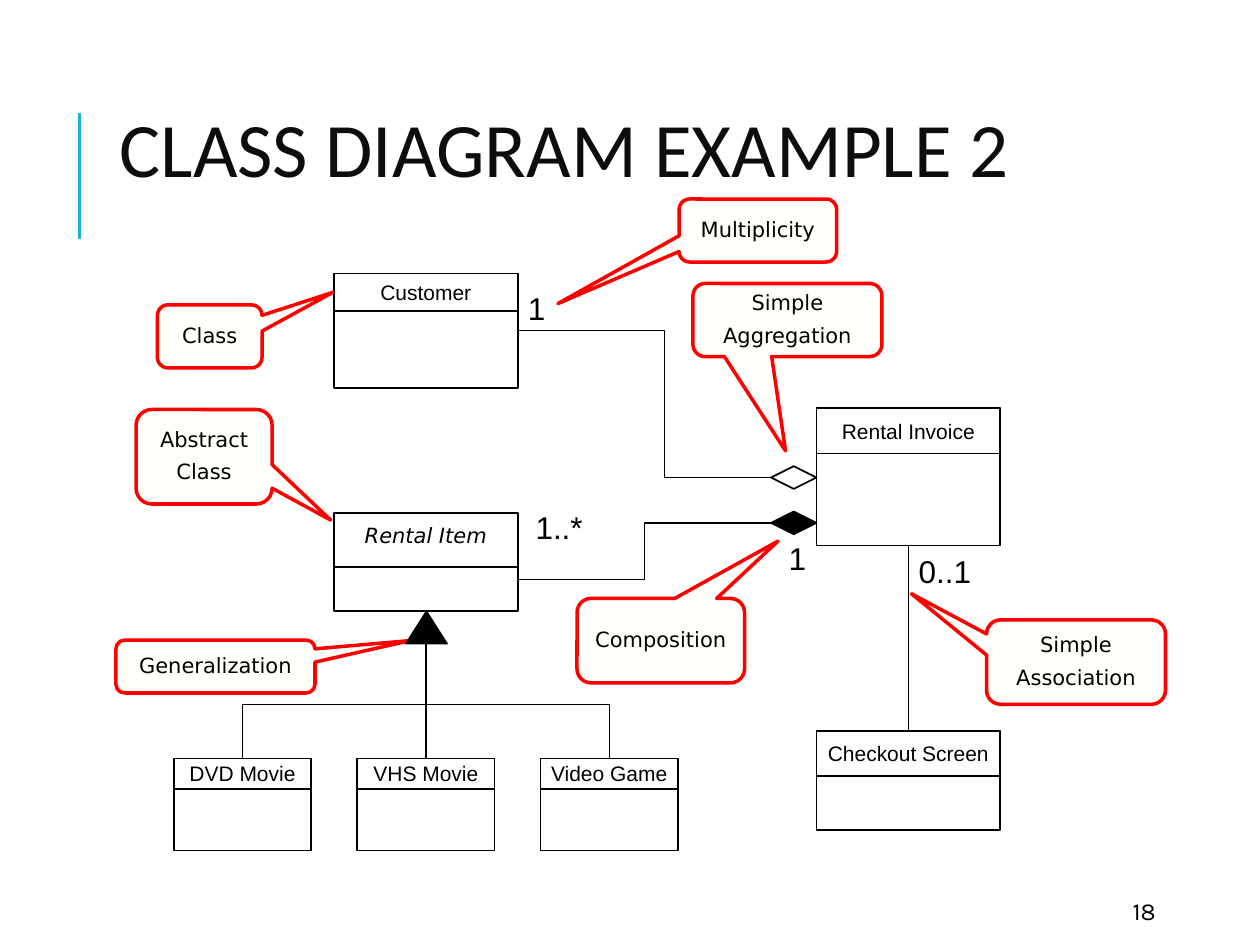
from lxml import etree
from pptx import Presentation
from pptx import util as u
from pptx.dml.color import RGBColor
from pptx.enum import shapes, text
from pptx.oxml.ns import qn

COLORS = {"ink": "000000", "title": "0D0D0D", "accent": "1CADE4",
          "paper": "FFFFFF", "note": "FFFFFB", "alert": "FF0000"}
RGB = {name: RGBColor.from_string(value) for name, value in COLORS.items()}

presentation = Presentation()
presentation.slide_width, presentation.slide_height = u.Inches(10), u.Inches(7.5)
slide = presentation.slides.add_slide(presentation.slide_layouts[5])

# The slide is a grid of 100 columns by 75 rows
COLUMN = presentation.slide_width // 100
ROW = presentation.slide_height // 75


def grid(left, top, width, height):
    return [u.Emu(round(cells * unit)) for cells, unit in
            zip((left, top, width, height), (COLUMN, ROW, COLUMN, ROW))]


def write(shape, words, size, font, color="ink", align=text.PP_ALIGN.CENTER,
          margins=(0.1, 0.05), spacing=None, before=None, wrap=False,
          anchor=text.MSO_ANCHOR.MIDDLE):
    frame = shape.text_frame
    frame.text = words
    frame.word_wrap = wrap
    frame.vertical_anchor = anchor
    frame.margin_left = frame.margin_right = u.Inches(margins[0])
    frame.margin_top = frame.margin_bottom = u.Inches(margins[1])
    for paragraph in frame.paragraphs:
        paragraph.alignment = align
        paragraph.line_spacing = spacing
        if before is not None:
            paragraph.space_before = u.Pt(before)
        for run in paragraph.runs:
            run.font.size = u.Pt(size)
            run.font.name = font
            run.font.color.rgb = RGB[color]


# Title and slide number
title = slide.shapes.title
title.left, title.top, title.width, title.height = grid(8.5, 4.1, 79.7, 16.4)
write(title, "CLASS DIAGRAM EXAMPLE 2", 44, "Calibri", "title",
      text.PP_ALIGN.LEFT, spacing=0.8, wrap=True)
number = slide.shapes.add_textbox(*grid(88.9, 70.8, 8, 3))
write(number, "18", 14, "Karla", align=text.PP_ALIGN.LEFT, wrap=True)

# Classes: name, left, width, header top and height, body top and height
SUBCLASS_STEP = 14.55
classes = [
    ("Customer", 26.5, 14.6, 21.7, 3, 21.7, 9.1),
    ("Rental Item", 26.5, 14.6, 40.7, 4.3, 43.5, 5),
    ("Rental Invoice", 64.8, 14.6, 32.4, 3.6, 32.4, 10.9),
    ("Checkout Screen", 64.8, 14.6, 58, 3.6, 58, 7.9),
]
for index, name in enumerate(("DVD Movie", "VHS Movie", "Video Game")):
    classes.append((name, 13.8 + index * SUBCLASS_STEP, 10.9, 60.2, 2.4, 60.2, 7.3))

bodies = {}
for name, left, width, top, height, body_top, body_height in classes:
    for part_top, part_height in ((body_top, body_height), (top, height)):
        shape = slide.shapes.add_shape(shapes.MSO_SHAPE.RECTANGLE,
                                       *grid(left, part_top, width, part_height))
        shape.shadow.inherit = False
        shape.fill.solid()
        shape.fill.fore_color.rgb = RGB["paper"]
        shape.line.color.rgb = RGB["ink"]
        shape.line.width = u.Pt(1)
        bodies.setdefault(name, shape)
    abstract = name == "Rental Item"
    write(shape, name, 12, "DejaVu Sans" if abstract else "Arial",
          margins=(0, 0), spacing=0.5 if abstract else None)
    shape.text_frame.paragraphs[0].runs[0].font.italic = abstract

# Multiplicities
for words, left, top, width in (("1", 41.9, 22.9, 1.4), ("1..*", 42.5, 40.3, 3.8),
                                ("1", 62.6, 42.8, 1.4), ("0..1", 72.9, 43.8, 4.2)):
    label = slide.shapes.add_textbox(*grid(left, top, width, 3))
    write(label, words, 18, "Arial", align=text.PP_ALIGN.LEFT, margins=(0, 0),
          anchor=text.MSO_ANCHOR.TOP)

# Callouts: words, box, tip offset as shares of the box
for words, box, tip in (
    ("Simple\nAssociation", (78.3, 49.2, 14.2, 6.7), (-0.92, -0.81)),
    ("Class", (12.5, 24.2, 8.3, 5), (1.18, -0.7)),
    ("Abstract\nClass", (10.8, 32.5, 10.8, 7.5), (0.93, 0.67)),
    ("Simple\nAggregation", (55, 22.5, 15, 5.8), (-0.01, 1.79)),
    ("Generalization", (9.2, 50.8, 15.8, 4.2), (0.98, -0.49)),
    ("Composition", (45.8, 47.5, 13.3, 6.7), (0.7, -1.18)),
    ("Multiplicity", (53.9, 15.8, 12.5, 5), (-1.27, 1.16)),
):
    callout = slide.shapes.add_shape(shapes.MSO_SHAPE.ROUNDED_RECTANGULAR_CALLOUT, *grid(*box))
    callout.adjustments[0], callout.adjustments[1] = tip
    callout.shadow.inherit = False
    callout.fill.solid()
    callout.fill.fore_color.rgb = RGB["note"]
    callout.line.color.rgb = RGB["alert"]
    callout.line.width = u.Pt(2)
    write(callout, words, 12, "DejaVu Sans", spacing=0.89, before=6)

# Relationship ends: hollow and solid diamonds, generalization triangle
ends = {}
for name, preset, box, solid, weight in (
    ("aggregation", shapes.MSO_SHAPE.DIAMOND, (61.2, 37, 3.6, 1.8), False, 1),
    ("composition", shapes.MSO_SHAPE.DIAMOND, (61.2, 40.6, 3.6, 1.8), True, 1),
    ("generalization", shapes.MSO_SHAPE.FLOWCHART_EXTRACT, (32.2, 48.5, 3.3, 2.6), True, 0.75),
):
    shape = slide.shapes.add_shape(preset, *grid(*box))
    shape.shadow.inherit = False
    if solid:
        shape.fill.solid()
        shape.fill.fore_color.rgb = RGB["ink"]
    else:
        shape.fill.background()
    shape.line.color.rgb = RGB["ink"]
    shape.line.width = u.Pt(weight)
    ends[name] = shape

# Connectors: kind, start and end (shape, side), bend, weight
STRAIGHT, ELBOW = shapes.MSO_CONNECTOR.STRAIGHT, shapes.MSO_CONNECTOR.ELBOW
connectors = []
for kind, start, finish, bend, weight in (
    (STRAIGHT, (bodies["Checkout Screen"], 0), (bodies["Rental Invoice"], 2), None, 1),
    (STRAIGHT, (bodies["VHS Movie"], 0), (bodies["Rental Item"], 2), None, 0.75),
    (ELBOW, (ends["composition"], 1), (bodies["Rental Item"], 3), 0.5, 0.75),
    (ELBOW, (ends["aggregation"], 1), (bodies["Customer"], 3), 0.42, 0.75),
):
    connector = slide.shapes.add_connector(kind, 0, 0, 0, 0)
    connector.begin_connect(*start)
    connector.end_connect(*finish)
    connectors.append((connector, bend, weight, "ink"))

# Bracket over the subclasses: a narrow elbow turned on its side
span, thickness, rise = 2 * SUBCLASS_STEP, 0.1, 4.3
center = 13.8 + 10.9 / 2 + SUBCLASS_STEP
left, top, width, height = grid(center - thickness / 2, 60.2 - span / 2, thickness, span)
bracket = slide.shapes.add_connector(ELBOW, left + width, top, left, top + height)
bracket.element.spPr.find(qn("a:xfrm")).set("rot", str(270 * 60000))
connectors.append((bracket, -rise / thickness, 0.75, "ink"))

# Accent rule beside the title
left, top, width, height = grid(6.3, 9, 0, 10)
accent = slide.shapes.add_connector(STRAIGHT, left, top + height, left, top)
connectors.append((accent, None, 1.5, "accent"))

for connector, bend, weight, color in connectors:
    connector.line.color.rgb = RGB[color]
    connector.line.width = u.Pt(weight)
    properties = connector.element.spPr
    etree.SubElement(properties, qn("a:effectLst"))
    if bend is not None:
        guides = properties.find(qn("a:prstGeom")).find(qn("a:avLst"))
        etree.SubElement(guides, qn("a:gd"), name="adj1", fmla=f"val {round(bend * 100000)}")

presentation.save("out.pptx")
